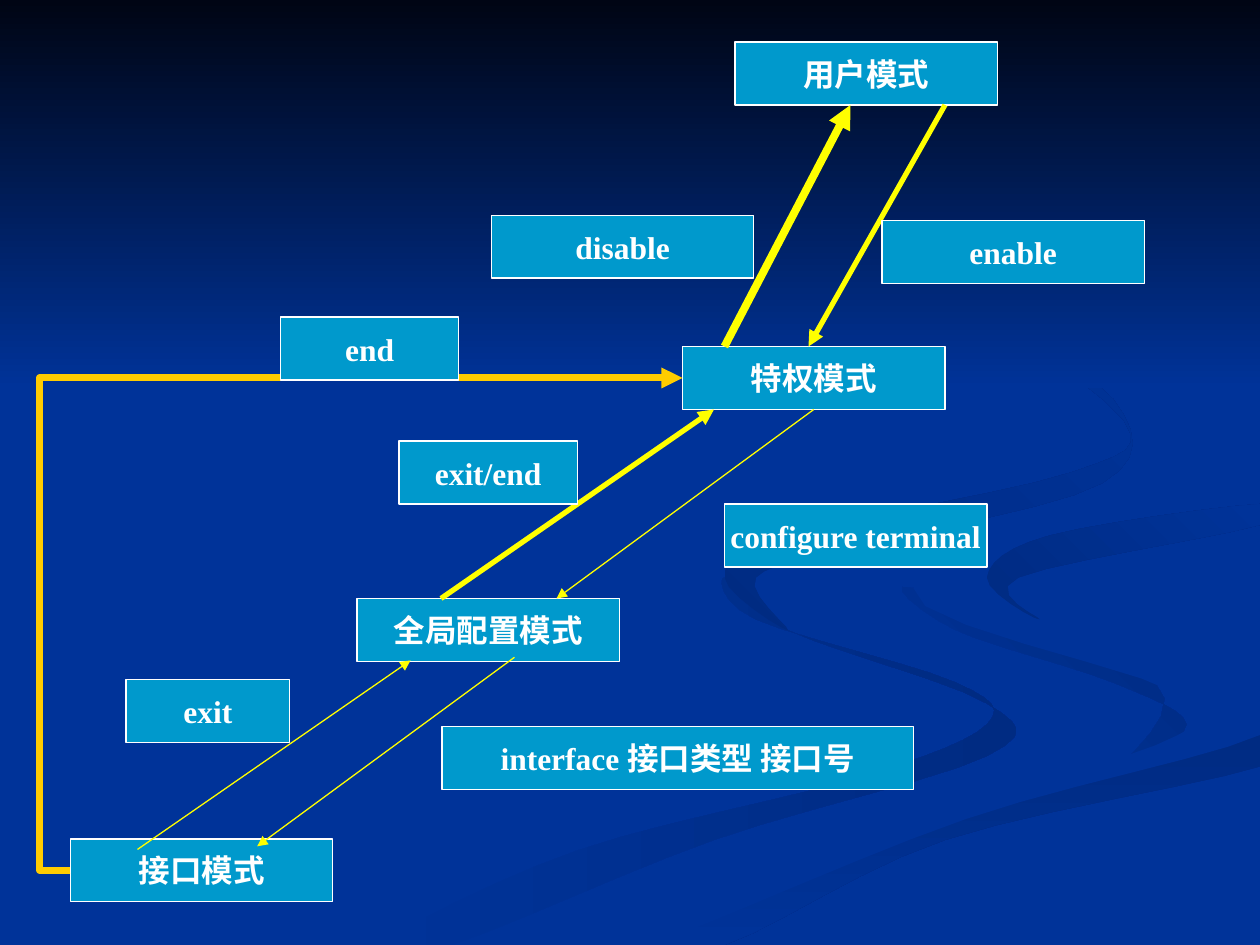
from pptx import Presentation
from pptx.util import Inches, Pt
from pptx.dml.color import RGBColor
from pptx.enum.shapes import MSO_SHAPE, MSO_CONNECTOR
from pptx.enum.text import PP_ALIGN, MSO_ANCHOR
from pptx.oxml.ns import qn
from lxml.etree import SubElement

WIDE, HIGH = Inches(10), Inches(7.5)
COLS, ROWS = 120, 90
BLUE, TEAL, WHITE = "003399", "0099CC", "FFFFFF"
NIGHT, NAVY = "000514", "002B82"
GOLD, LEMON = "FFCC00", "FFFF00"
TALL, FULL, STEPS = 6, 25, 6

MODES = [
    ("用户模式", 70, 4, FULL), ("特权模式", 65, 33, FULL),
    ("全局配置模式", 34, 57, FULL), ("接口模式", 6.7, 79.9, FULL),
]
LINKS = [
    (90, 10, 77, 33, 3), (69, 33, 81, 10, 4.5),
    (77.5, 39, 53, 57, 0.75), (42, 57, 68, 39, 3),
    (49, 62.6, 24.5, 80.6, 0.75), (13.1, 80.9, 39.1, 62.9, 0.75),
]
LABELS = [
    ("enable", 84, 21, FULL), ("disable", 46.8, 20.5, FULL),
    ("configure terminal", 69, 48, FULL), ("exit/end", 38, 42, 17),
    ("interface 接口类型 接口号", 42.1, 69.2, 44.9),
    ("exit", 12, 64.7, 15.6), ("end", 26.7, 30.2, 17),
]
WAVES = [
    (BLUE, NAVY, 0, [
        (69, 55), (72, 59), (91, 65), (94, 69), (82, 74), (55, 81),
        (36, 90), (43, 90), (68, 80), (94, 72), (94, 67), (75, 60)]),
    (BLUE, NAVY, 315, [
        (87, 56), (91, 60), (106, 65), (113, 69), (107, 73), (110, 65)]),
    (NAVY, BLUE, 90, [(60, 90), (69, 90), (90, 80), (120, 73), (120, 70), (83, 80)]),
    (BLUE, BLUE, 0, [
        (87, 56), (112, 66), (110, 71), (85, 78), (57, 90), (62, 90),
        (92, 78), (120, 70), (120, 65), (94, 56), (120, 48), (120, 46)]),
    (NAVY, BLUE, 315, [(94, 55), (99, 59), (97, 55), (120, 50), (120, 48), (100, 51)]),
    (NAVY, BLUE, 315, [
        (91, 28), (107, 40), (102, 45), (75, 51), (69, 55), (75, 60),
        (72, 55), (82, 52), (105, 46), (106, 38)]),
]


def col(num):
    return round(num * WIDE / COLS)


def row(num):
    return round(num * HIGH / ROWS)


def tint(code):
    return RGBColor.from_string(code)


def write(shape, text, font="Times New Roman", size=18, color=WHITE, bold=True):
    frame = shape.text_frame
    frame.word_wrap = False
    frame.vertical_anchor = MSO_ANCHOR.MIDDLE
    para = frame.paragraphs[0]
    para.alignment = PP_ALIGN.CENTER
    run = para.add_run()
    run.text = text
    run.font.name, run.font.size, run.font.bold = font, Pt(size), bold
    run.font.color.rgb = tint(color)


def blend(shape, first, last, angle):
    shape.shadow.inherit = False
    shape.line.fill.background()
    fill = shape.fill
    if first == last:
        fill.solid()
        fill.fore_color.rgb = tint(first)
        return
    fill.gradient()
    fill.gradient_angle = (360 - angle) % 360
    for place, (stop, code) in enumerate(zip(fill.gradient_stops, (first, last))):
        stop.color.rgb = tint(code)
        stop.position = place


def ease(a, b, c, d, t):
    return b + t / 2 * (c - a + t * (2 * a - 5 * b + 4 * c - d + t * (3 * (b - c) + d - a)))


def smooth(knots):
    for i in range(len(knots)):
        near = [knots[(i + k) % len(knots)] for k in (-1, 0, 1, 2)]
        for step in range(STEPS):
            x, y = (ease(*axis, step / STEPS) for axis in zip(*near))
            yield min(col(x), WIDE), min(row(y), HIGH)


def wave(slide, first, last, angle, knots):
    start, *rest = smooth(knots)
    pen = slide.shapes.build_freeform(*start)
    pen.add_line_segments(rest, close=True)
    blend(pen.convert_to_shape(), first, last, angle)


def block(slide, x, y, wide, tall):
    return slide.shapes.add_shape(
        MSO_SHAPE.RECTANGLE, col(x), row(y), col(wide), row(tall))


def box(slide, text, x, y, wide):
    shape = block(slide, x, y, wide, TALL)
    shape.shadow.inherit = False
    shape.fill.solid()
    shape.fill.fore_color.rgb = tint(TEAL)
    shape.line.color.rgb = tint(WHITE)
    shape.line.width = Pt(0.75)
    write(shape, text)


def arrow(slide, x, y, to_x, to_y, width, color=LEMON, kind=MSO_CONNECTOR.STRAIGHT):
    link = slide.shapes.add_connector(kind, col(x), row(y), col(to_x), row(to_y))
    link.line.color.rgb = tint(color)
    link.line.width = Pt(width)
    SubElement(link.line._get_or_add_ln(), qn("a:tailEnd"), type="triangle")
    SubElement(link._element.spPr, qn("a:effectLst"))
    return link


def bend(link, share):
    geom = link._element.spPr.find(qn("a:prstGeom"))
    form = geom.find(qn("a:avLst"))
    if form is None:
        form = SubElement(geom, qn("a:avLst"))
    SubElement(form, qn("a:gd"), name="adj1", fmla=f"val {round(share * 100000)}")


def main():
    deck = Presentation()
    deck.slide_width, deck.slide_height = WIDE, HIGH
    slide = deck.slides.add_slide(deck.slide_layouts[6])
    back = slide.background.fill
    back.solid()
    back.fore_color.rgb = tint(BLUE)
    for item in WAVES:
        wave(slide, *item)
    blend(block(slide, 0, 0, COLS, 37), NIGHT, BLUE, 90)
    for item in MODES:
        box(slide, *item)
    for item in LINKS:
        arrow(slide, *item)
    bend(arrow(slide, 6.7, 82.9, 65, 36, 4, GOLD, MSO_CONNECTOR.ELBOW), -0.05)
    for item in LABELS:
        box(slide, *item)
    deck.save("out.pptx")


if __name__ == "__main__":
    main()
